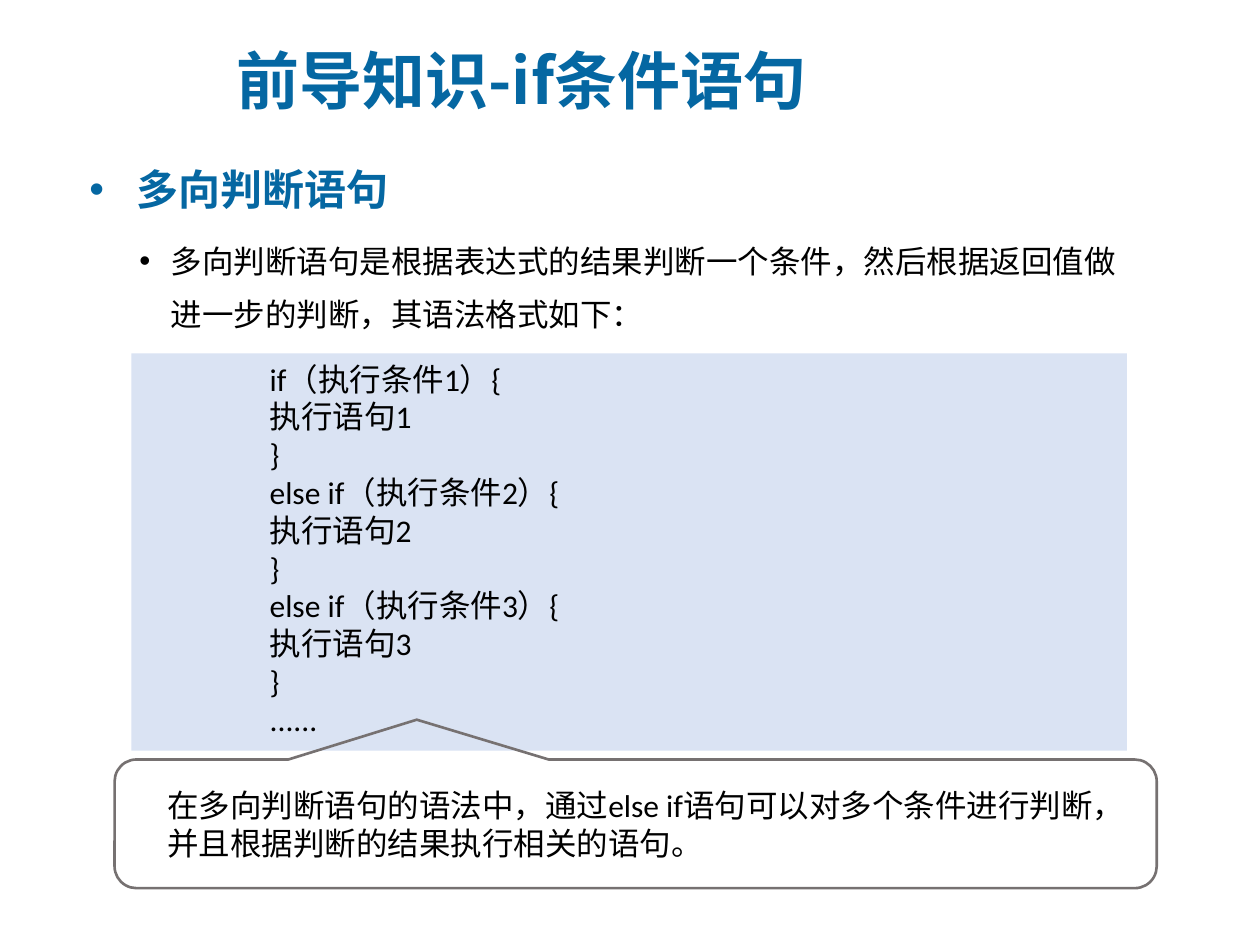
from lxml import etree
from pptx import Presentation
from pptx.dml.color import RGBColor
from pptx.enum.shapes import MSO_SHAPE
from pptx.enum.text import MSO_ANCHOR, MSO_AUTO_SIZE, PP_ALIGN
from pptx.oxml.ns import qn
from pptx.util import Pt

RECTANGLE = MSO_SHAPE.RECTANGLE
CALLOUT = MSO_SHAPE.ROUNDED_RECTANGULAR_CALLOUT
TOP, MIDDLE = MSO_ANCHOR.TOP, MSO_ANCHOR.MIDDLE
LEFT = PP_ALIGN.LEFT
NO_AUTOFIT = MSO_AUTO_SIZE.NONE

COLORS = {"accent": "0567A2", "text": "000000", "code": "DAE3F3", "outline": "767171"}
LATIN, CHINESE = "Calibri", "Noto Sans CJK SC"

BRANCHES = ["if（执行条件1）{", "else if（执行条件2）{", "else if（执行条件3）{"]


class SlideBuilder:
    """Holds the text style and the slide being filled."""

    def __init__(self, slide):
        self.slide = slide

    def fill_text(self, box, lines, size=18, font=LATIN, color="text", bold=False,
                  level=0, margin=0, hanging=0, bullet=None, spacing=1.0, before=0, anchor=TOP):
        frame = box.text_frame
        frame.word_wrap = True
        frame.auto_size = NO_AUTOFIT
        frame.vertical_anchor = anchor
        frame.text = "\n".join(lines)
        for para in frame.paragraphs:
            para.level = level
            para.alignment = LEFT
            para.line_spacing = spacing
            para.space_before = Pt(before)
            properties = para._p.get_or_add_pPr()
            properties.set("marL", str(Pt(margin)))
            properties.set("indent", str(Pt(-hanging)))
            if bullet:
                etree.SubElement(properties, qn("a:buFont")).set("typeface", "Arial")
                etree.SubElement(properties, qn("a:buChar")).set("char", bullet)
            else:
                etree.SubElement(properties, qn("a:buNone"))
            para.font.size = Pt(size)
            para.font.name = font
            para.font.bold = bold
            para.font.color.rgb = RGBColor.from_string(COLORS[color])

    def placeholder(self, index, left, top, width, height, lines, **style):
        box = self.slide.placeholders[index]
        box.left, box.top, box.width, box.height = Pt(left), Pt(top), Pt(width), Pt(height)
        self.fill_text(box, lines, **style)

    def text(self, left, top, width, height, lines, **style):
        box = self.slide.shapes.add_textbox(Pt(left), Pt(top), Pt(width), Pt(height))
        self.fill_text(box, lines, **style)

    def shape(self, kind, left, top, width, height, fill=None, line=None):
        shape = self.slide.shapes.add_shape(kind, Pt(left), Pt(top), Pt(width), Pt(height))
        shape.shadow.inherit = False
        if fill:
            shape.fill.solid()
            shape.fill.fore_color.rgb = RGBColor.from_string(COLORS[fill])
        else:
            shape.fill.background()
        if line:
            shape.line.color.rgb = RGBColor.from_string(COLORS[line])
            shape.line.width = Pt(1.5)
        else:
            shape.line.fill.background()
        return shape


def main():
    deck = Presentation()
    deck.slide_width, deck.slide_height = Pt(720), Pt(540)
    page = SlideBuilder(deck.slides.add_slide(deck.slide_layouts[1]))

    page.placeholder(0, 128, 15, 592, 60.5, ["前导知识-if条件语句"], size=36,
                     font=CHINESE, color="accent", bold=True, anchor=MIDDLE)
    page.placeholder(1, 36.5, 126, 623.5, 70,
                     ["多向判断语句是根据表达式的结果判断一个条件，然后根据返回值做进一步的判断，其语法格式如下："],
                     font=CHINESE, level=1, margin=54, hanging=18, bullet="•",
                     spacing=1.4, before=5)
    page.text(44, 75.5, 192, 46, ["多向判断语句"], size=24, color="accent", bold=True,
              margin=27, hanging=27, bullet="•", spacing=1.5, before=5)

    code = [line for number, branch in enumerate(BRANCHES, 1)
            for line in (branch, f"执行语句{number}", "}")]
    code_box = page.shape(RECTANGLE, 75, 202, 569, 227, fill="code")
    page.fill_text(code_box, code + ["......"], level=2, margin=72)

    page.text(88.5, 445.5, 555, 51,
              ["在多向判断语句的语法中，通过else if语句可以对多个条件进行判断，并且根据判断的结果执行相关的语句。"])
    callout = page.shape(CALLOUT, 65.5, 434, 595.5, 73.5, line="outline")
    for index, value in enumerate((-0.21, -0.81, 0.17)):
        callout.adjustments[index] = value

    deck.save("out.pptx")


if __name__ == "__main__":
    main()
